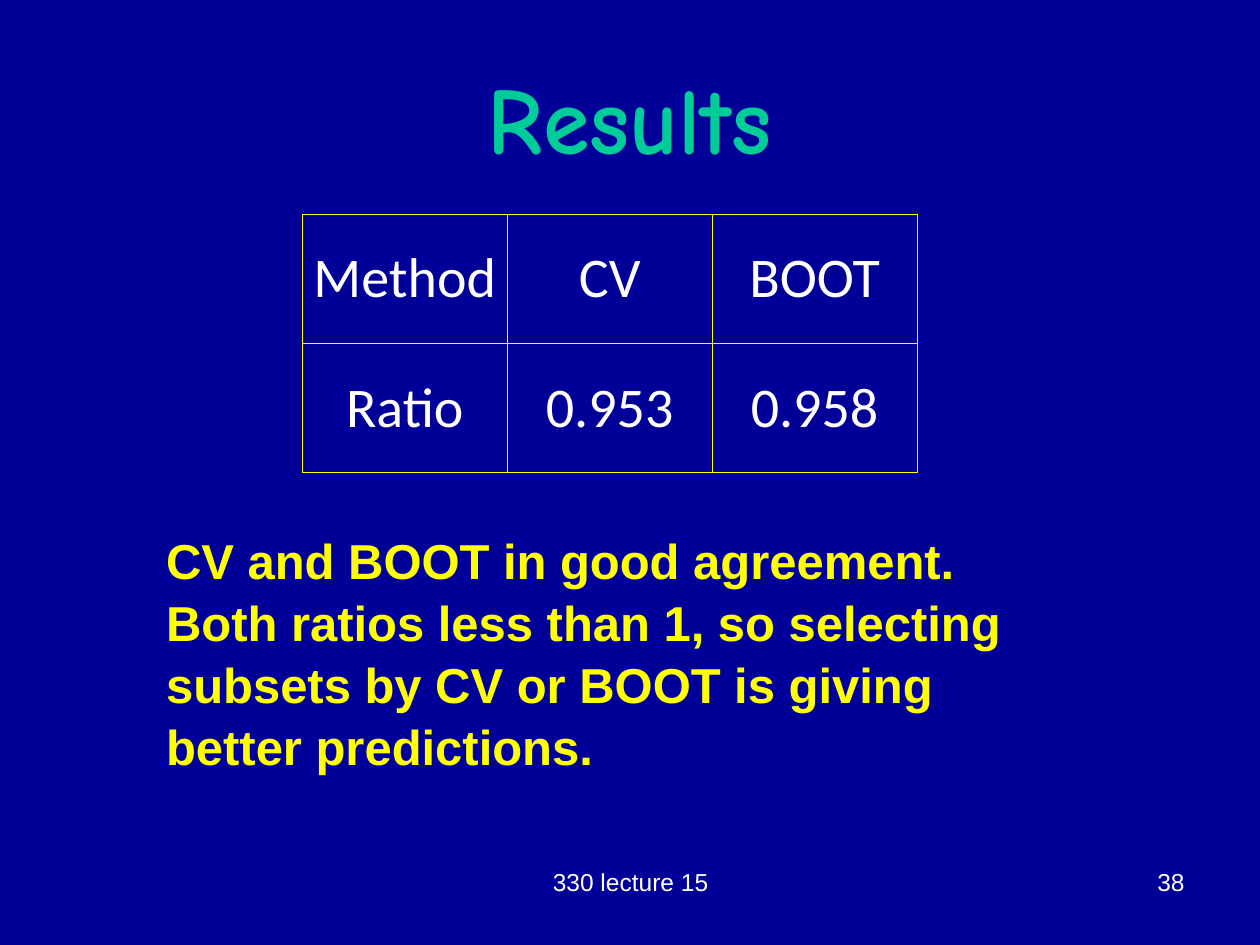
from lxml.etree import SubElement
from pptx import Presentation
from pptx.dml.color import RGBColor
from pptx.enum.text import MSO_ANCHOR, PP_ALIGN
from pptx.oxml.ns import qn
from pptx.util import Inches, Pt

NAVY = RGBColor(0x00, 0x00, 0x99)
GREEN = RGBColor(0x00, 0xCC, 0x99)
YELLOW = RGBColor(0xFF, 0xFF, 0x00)
WHITE = RGBColor(0xFF, 0xFF, 0xFF)

TITLE = "Results"
RATIOS = [("Method", "CV", "BOOT"), ("Ratio", "0.953", "0.958")]
CONCLUSION = (
    "CV and BOOT in good agreement. Both ratios less than 1, so selecting "
    "subsets by CV or BOOT is giving better predictions."
)
TEXT_BOXES = [
    ("330 lecture 15", (3.42, 6.83, 3.17, 0.52), PP_ALIGN.CENTER, 14, WHITE, False, 1),
    ("38", (7.17, 6.83, 2.33, 0.52), PP_ALIGN.RIGHT, 14, WHITE, False, 1),
    (CONCLUSION, (1.22, 4.14, 6.93, 1.97), PP_ALIGN.LEFT, 28, YELLOW, True, 1.05),
]


def format_paragraph(paragraph, alignment, name, size, color, bold=False):
    paragraph.alignment = alignment
    font = paragraph.font
    font.name, font.size, font.bold = name, Pt(size), bold
    font.color.rgb = color


def add_title(slide):
    title = slide.shapes.title
    title.left, title.top, title.width, title.height = map(Inches, (0.5, 0.3, 9, 1.25))
    title.text_frame.text = TITLE
    title.text_frame.vertical_anchor = MSO_ANCHOR.MIDDLE
    format_paragraph(
        title.text_frame.paragraphs[0], PP_ALIGN.CENTER, "Comic Neue", 54, GREEN, True
    )


def add_borders(cell):
    properties = cell._tc.get_or_add_tcPr()
    for side in ("lnL", "lnR", "lnT", "lnB"):
        line = SubElement(properties, qn(f"a:{side}"), w=str(Pt(0.75)))
        fill = SubElement(line, qn("a:solidFill"))
        SubElement(fill, qn("a:srgbClr"), val=str(YELLOW))


def add_ratio_table(slide):
    frame = slide.shapes.add_table(
        len(RATIOS), len(RATIOS[0]), *map(Inches, (2.4, 1.7, 4.88, 2.05))
    )
    table = frame.table
    table.first_row = table.horz_banding = False
    for row, values in zip(table.rows, RATIOS):
        for cell, value in zip(row.cells, values):
            cell.text = value
            cell.vertical_anchor = MSO_ANCHOR.MIDDLE
            cell.margin_left = cell.margin_right = Inches(0.01)
            format_paragraph(
                cell.text_frame.paragraphs[0], PP_ALIGN.CENTER, "Calibri", 32, WHITE
            )
            add_borders(cell)
            cell.fill.background()


def add_text_box(slide, text, place, alignment, size, color, bold, line_spacing):
    text_frame = slide.shapes.add_textbox(*map(Inches, place)).text_frame
    text_frame.word_wrap = True
    text_frame.text = text
    paragraph = text_frame.paragraphs[0]
    paragraph.line_spacing = line_spacing
    format_paragraph(paragraph, alignment, "Arial", size, color, bold)


def main():
    """Build the slide comparing the CV and BOOT ratios."""
    presentation = Presentation()
    presentation.slide_width, presentation.slide_height = Inches(10), Inches(7.5)
    slide = presentation.slides.add_slide(presentation.slide_layouts[5])
    slide.background.fill.solid()
    slide.background.fill.fore_color.rgb = NAVY
    add_title(slide)
    add_ratio_table(slide)
    for text_box in TEXT_BOXES:
        add_text_box(slide, *text_box)
    presentation.save("out.pptx")


if __name__ == "__main__":
    main()
